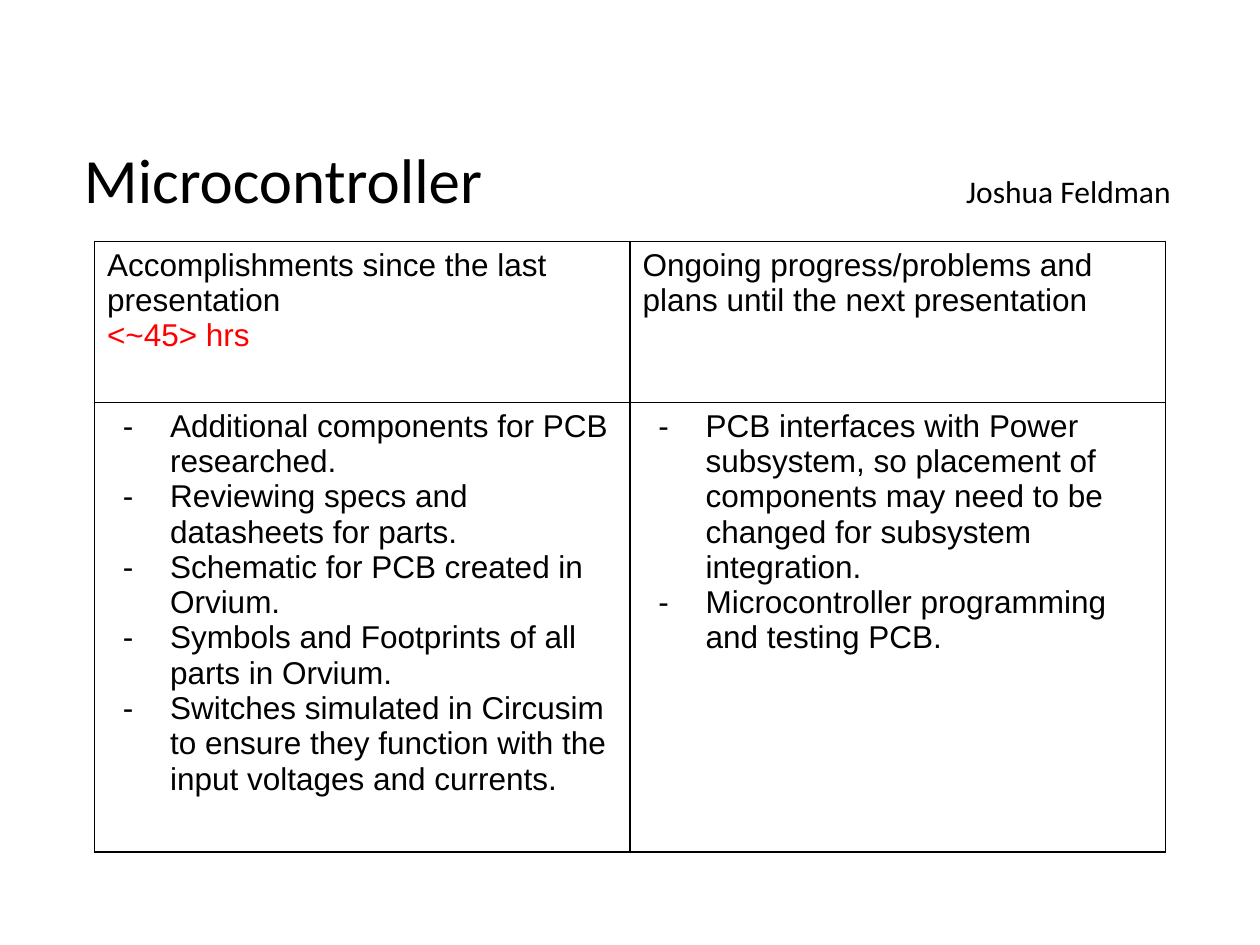
from pptx import Presentation
from pptx.dml.color import RGBColor
from pptx.enum.text import MSO_ANCHOR, MSO_AUTO_SIZE, PP_ALIGN
from pptx.oxml import parse_xml
from pptx.oxml.ns import nsdecls
from pptx.util import Pt

BLACK = RGBColor(0, 0, 0)
RED = RGBColor(255, 0, 0)
TOP = MSO_ANCHOR.TOP
GROW = MSO_AUTO_SIZE.SHAPE_TO_FIT_TEXT
LEFT = PP_ALIGN.LEFT
TITLE_ONLY = 5

DONE = [
    "Additional components for PCB researched.",
    "Reviewing specs and datasheets for parts.",
    "Schematic for PCB created in Orvium.",
    "Symbols and Footprints of all parts in Orvium.",
    "Switches simulated in Circusim to ensure they function with the "
    "input voltages and currents.",
]
PLANS = [
    "PCB interfaces with Power subsystem, so placement of components may "
    "need to be changed for subsystem integration.",
    "Microcontroller programming and testing PCB.",
]


def add_run(p, text, size=18, font="Arial", color=BLACK):
    r = p.add_run()
    r.text = text
    r.font.size = Pt(size)
    r.font.name = font
    r.font.color.rgb = color


def add_title(slide, left, top, width, height, title, author):
    sp = slide.shapes.title
    sp.left, sp.top, sp.width, sp.height = map(Pt, (left, top, width, height))
    tf = sp.text_frame
    tf.word_wrap = True
    tf.auto_size = GROW
    tf.vertical_anchor = TOP
    tf.margin_left = Pt(18)
    p = tf.paragraphs[0]
    p.alignment = LEFT
    # Right tab stop holds the author's name at the far edge
    p._p.get_or_add_pPr().append(parse_xml(
        f'<a:tabLst {nsdecls("a")}><a:tab pos="{Pt(621)}" algn="r"/></a:tabLst>'))
    add_run(p, title, 36, "Calibri")
    add_run(p, "\t" + author, 18, "Calibri")


def style_cell(cell):
    tcPr = cell._tc.get_or_add_tcPr()
    for side in ("lnL", "lnR", "lnT", "lnB"):
        tcPr.append(parse_xml(
            f'<a:{side} {nsdecls("a")} w="{Pt(1)}"><a:solidFill>'
            f'<a:srgbClr val="{BLACK}"/></a:solidFill></a:{side}>'))
    cell.fill.background()


def add_bullets(cell, items):
    tf = cell.text_frame
    for i, item in enumerate(items):
        p = tf.add_paragraph() if i else tf.paragraphs[0]
        pPr = p._p.get_or_add_pPr()
        pPr.set("marL", str(Pt(36)))
        pPr.set("indent", str(Pt(-27)))
        for xml in (f'<a:buClr {nsdecls("a")}><a:srgbClr val="{BLACK}"/></a:buClr>',
                    f'<a:buFont {nsdecls("a")} typeface="Arial"/>',
                    f'<a:buChar {nsdecls("a")} char="-"/>'):
            pPr.append(parse_xml(xml))
        add_run(p, item)


def add_status_table(slide, left, top, width, row_heights):
    table = slide.shapes.add_table(
        2, 2, Pt(left), Pt(top), Pt(width), Pt(sum(row_heights))).table
    table.first_row = False
    table.horz_banding = False
    for row, height in zip(table.rows, row_heights):
        row.height = Pt(height)
    for cell in table.iter_cells():
        style_cell(cell)

    # Headings
    p = table.cell(0, 0).text_frame.paragraphs[0]
    add_run(p, "Accomplishments since the last presentation")
    p.add_line_break()
    add_run(p, "<~45> hrs", color=RED)
    p = table.cell(0, 1).text_frame.paragraphs[0]
    add_run(p, "Ongoing progress/problems and plans until the next presentation")

    # Lists
    add_bullets(table.cell(1, 0), DONE)
    add_bullets(table.cell(1, 1), PLANS)


def main():
    prs = Presentation()
    prs.slide_width, prs.slide_height = Pt(720), Pt(540)
    slide = prs.slides.add_slide(prs.slide_layouts[TITLE_ONLY])
    add_title(slide, 30, 76.5, 660, 51, "Microcontroller", "Joshua Feldman")
    add_status_table(slide, 54, 138, 612, (92, 257))
    prs.save("out.pptx")


if __name__ == "__main__":
    main()
